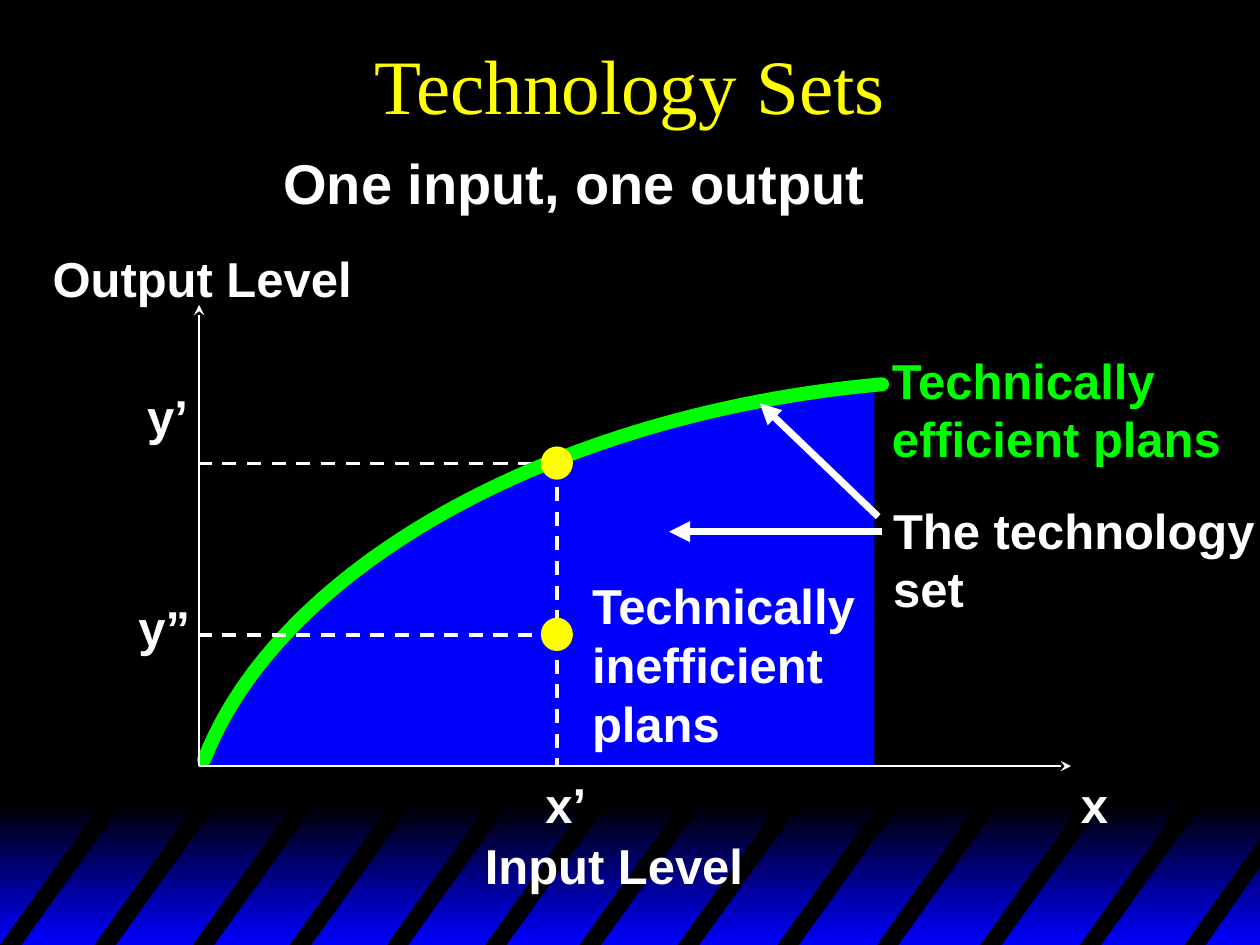
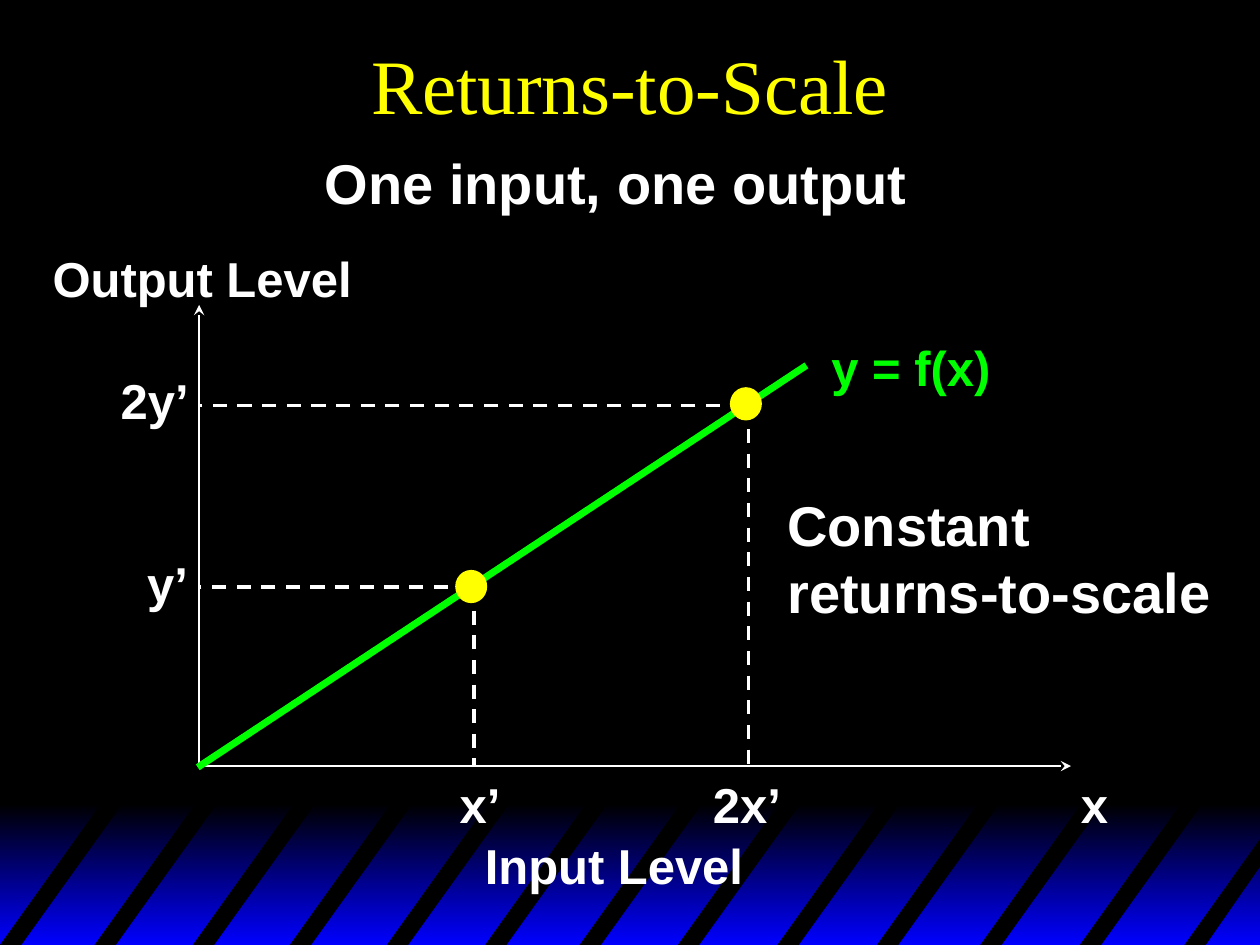
from dataclasses import dataclass

from lxml.etree import SubElement
from pptx import Presentation
from pptx.dml.color import RGBColor as RGB
from pptx.enum.dml import MSO_LINE_DASH_STYLE as DASH
from pptx.enum.shapes import MSO_CONNECTOR as CONN, MSO_SHAPE as SHAPE
from pptx.enum.text import MSO_ANCHOR as ANCHOR, MSO_AUTO_SIZE as AUTO, PP_ALIGN as ALIGN
from pptx.oxml.ns import qn
from pptx.util import Pt

PX = 9144  # EMU per px, 100 px to the inch
WIDTH, HEIGHT = 1000, 750
ORIGIN_X, ORIGIN_Y = 158, 608


@dataclass(frozen=True)
class Theme:
    black: RGB = RGB(0, 0, 0)
    blue: RGB = RGB(0, 0, 255)
    white: RGB = RGB(255, 255, 255)
    yellow: RGB = RGB(255, 255, 0)
    green: RGB = RGB(0, 255, 0)
    title_font: str = "Times New Roman"
    body_font: str = "Arial"
    title_size: int = 44
    subtitle_size: int = 32
    label_size: int = 28


class Deck:
    def __init__(self, theme):
        self.th = theme
        self.prs = Presentation()
        self.prs.slide_width, self.prs.slide_height = WIDTH * PX, HEIGHT * PX
        fill = self.prs.slide_master.background.fill
        fill.solid()
        fill.fore_color.rgb = theme.black
        self.slide = None

    def new_slide(self, title):
        self.slide = self.prs.slides.add_slide(self.prs.slide_layouts[5])
        sp = self.slide.shapes.title
        self.place(sp, 0, 0, WIDTH, 133)
        tf = sp.text_frame
        tf.vertical_anchor = ANCHOR.MIDDLE
        tf.auto_size = AUTO.NONE
        p = tf.paragraphs[0]
        p.alignment = ALIGN.CENTER
        self.run(p, title, self.th.title_size, self.th.yellow, self.th.title_font, False)

    def place(self, sp, x, y, w, h):
        sp.left, sp.top, sp.width, sp.height = (v * PX for v in (x, y, w, h))

    def run(self, p, text, size, color, font, bold):
        r = p.add_run()
        r.text = text
        f = r.font
        f.name, f.size, f.bold = font, Pt(size), bold
        f.color.rgb = color

    def text(self, x, y, w, h, text, color=None, size=None, wrap=False):
        sp = self.slide.shapes.add_textbox(x * PX, y * PX, w * PX, h * PX)
        tf = sp.text_frame
        tf.word_wrap = wrap
        tf.auto_size = AUTO.SHAPE_TO_FIT_TEXT
        p = tf.paragraphs[0]
        for i, line in enumerate(text.split("\n")):
            if i:
                p.add_line_break()
            self.run(p, line, size or self.th.label_size, color or self.th.white,
                     self.th.body_font, True)

    def line(self, x1, y1, x2, y2, width, color=None, dashed=False, arrow=None):
        c = self.slide.shapes.add_connector(CONN.STRAIGHT, x1 * PX, y1 * PX, x2 * PX, y2 * PX)
        c.line.color.rgb = color or self.th.white
        c.line.width = Pt(width)
        if dashed:
            c.line.dash_style = DASH.DASH
        if arrow:
            SubElement(c.element.spPr.find(qn("a:ln")), qn("a:tailEnd"), type=arrow)
        SubElement(c.element.spPr, qn("a:effectLst"))

    def guide(self, x1, y1, x2, y2):
        self.line(x1, y1, x2, y2, 2, dashed=True)

    def dot(self, x, y):
        sp = self.slide.shapes.add_shape(SHAPE.OVAL, x * PX, y * PX, 24 * PX, 25 * PX)
        sp.shadow.inherit = False
        sp.fill.solid()
        sp.fill.fore_color.rgb = self.th.yellow
        sp.line.color.rgb = self.th.yellow
        sp.line.width = Pt(1)

    def polygon(self, shapes, points, color):
        fb = shapes.build_freeform(*points[0], scale=PX)
        fb.add_line_segments(points[1:], close=True)
        sp = fb.convert_to_shape()
        sp.shadow.inherit = False
        sp.fill.solid()
        sp.fill.fore_color.rgb = color
        sp.line.fill.background()

    def curve(self, points, width, color):
        """Cubic curve: start, two control points, end."""
        fb = self.slide.shapes.build_freeform(*points[0], scale=PX)
        fb.add_line_segments(points[1:], close=False)
        sp = fb.convert_to_shape()
        sp.shadow.inherit = False
        sp.fill.background()
        sp.line.color.rgb = color
        sp.line.width = Pt(width)
        sp.element.spPr.find(qn("a:ln")).set("cap", "rnd")
        path = sp.element.find(".//" + qn("a:path"))
        segments = path.findall(qn("a:lnTo"))
        bezier = SubElement(path, qn("a:cubicBezTo"))
        for seg in segments:
            bezier.append(seg[0])
            path.remove(seg)

    def master_band(self):
        """Striped gradient band, built on the current slide, then moved to the master."""
        grp = self.slide.shapes.add_group_shape()
        sp = grp.shapes.add_shape(SHAPE.RECTANGLE, 0, 638 * PX, WIDTH * PX, 112 * PX)
        sp.shadow.inherit = False
        sp.line.fill.background()
        sp.fill.gradient()
        sp.fill.gradient_angle = 270
        for stop, pos, color in zip(sp.fill.gradient_stops, (0, 1), (self.th.black, self.th.blue)):
            stop.position = pos
            stop.color.rgb = color
        top, bottom = 634, HEIGHT
        for x in (0, 75, 153, 230, 307, 385, 460, 538, 617, 696, 778, 857):
            self.polygon(grp.shapes, [(x, bottom), (x + 83, top), (x + 100, top),
                                      (x + 17, bottom)], self.th.black)
        self.polygon(grp.shapes, [(940, bottom), (WIDTH, 666), (WIDTH, 688), (957, bottom)],
                     self.th.black)
        for i, el in enumerate(grp.element.iter(qn("p:cNvPr")), 100):
            el.set("id", str(i))
        self.prs.slide_master.shapes.element.insert(2, grp.element)

    def axes(self):
        self.line(ORIGIN_X, ORIGIN_Y, ORIGIN_X, 242, 1, arrow="stealth")
        self.line(ORIGIN_X, ORIGIN_Y, 850, ORIGIN_Y, 1, arrow="stealth")

    def axis_labels(self, subtitle_x):
        self.text(subtitle_x, 113, 482, 63, "One input, one output", size=self.th.subtitle_size)
        self.text(848, 610, 42, 57, "x")
        self.text(375, 658, 250, 57, "Input Level", wrap=True)
        self.text(32, 192, 260, 57, "Output Level", wrap=True)


def technology_sets(d):
    d.new_slide("Technology Sets")
    d.master_band()
    # Technology set under the frontier
    d.polygon(d.slide.shapes, [
        (694, 311), (694, 608), (158, 608), (176, 572), (193, 550), (208, 526), (228, 503),
        (261, 474), (293, 449), (324, 428), (357, 410), (397, 386), (438, 371), (479, 354),
        (528, 340), (575, 328), (622, 319), (661, 312)], d.th.blue)
    d.axis_labels(215)
    d.text(423, 610, 53, 57, "x’")
    d.text(107, 302, 53, 57, "y’")
    d.text(100, 469, 83, 57, "y”", wrap=True)
    # Frontier, guides and plans
    d.guide(442, 368, ORIGIN_X, 368)
    d.curve([(162, 603), (222, 449), (441, 328), (700, 305)], 8, d.th.green)
    d.guide(442, 504, ORIGIN_X, 504)
    d.guide(442, 367, 442, ORIGIN_Y)
    for y in (491, 355):
        d.dot(430, y)
    # Callouts
    d.text(699, 392, 307, 104, "The technology\nset")
    d.line(700, 422, 531, 422, 4, arrow="triangle")
    d.line(697, 410, 603, 320, 4, arrow="triangle")
    d.text(460, 452, 232, 150, "Technically\ninefficient\nplans")
    d.text(698, 273, 281, 104, "Technically\nefficient plans", d.th.green)
    d.axes()


def returns_to_scale(d):
    d.new_slide("Returns-to-Scale")
    d.axes()
    d.axis_labels(248)
    d.text(650, 263, 157, 57, "y = f(x)", d.th.green, wrap=True)
    # Plan (x’, y’)
    d.guide(376, 465, 376, ORIGIN_Y)
    d.guide(375, 466, ORIGIN_X, 466)
    d.text(355, 610, 53, 57, "x’")
    d.text(107, 434, 53, 57, "y’")
    # Production function
    d.line(157, 609, 640, 290, 4, d.th.green)
    d.dot(362, 453)
    # Doubled plan
    d.guide(594, 321, 594, ORIGIN_Y)
    d.guide(591, 322, ORIGIN_X, 322)
    d.text(556, 610, 74, 57, "2x’")
    d.text(86, 289, 74, 57, "2y’")
    d.text(615, 384, 357, 117, "Constant\nreturns-to-scale", size=d.th.subtitle_size)
    d.dot(580, 308)


def main():
    d = Deck(Theme())
    technology_sets(d)
    returns_to_scale(d)
    d.prs.save("out.pptx")


if __name__ == "__main__":
    main()
